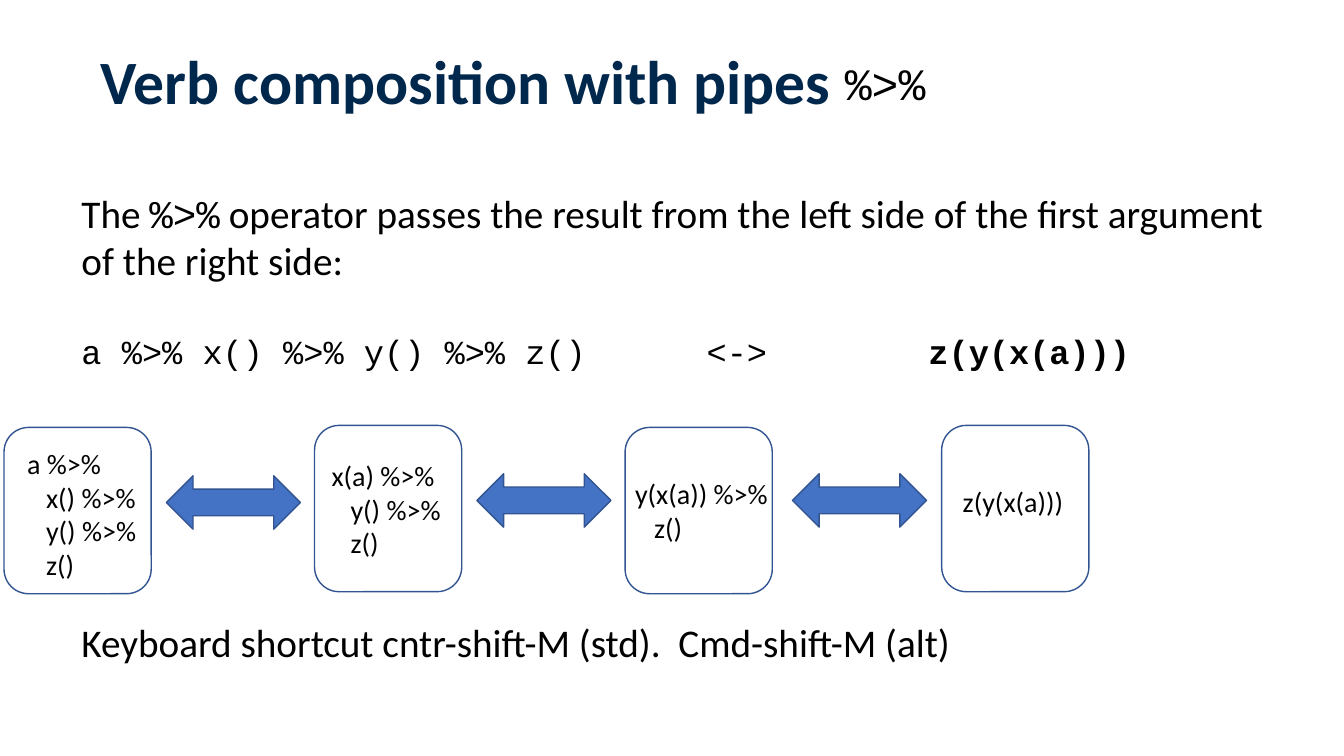
from pptx import Presentation
from pptx.dml.color import RGBColor
from pptx.enum.shapes import MSO_SHAPE as SHAPE
from pptx.enum.text import MSO_ANCHOR as ANCHOR
from pptx.oxml.ns import qn
from pptx.util import Inches, Pt
from lxml.etree import SubElement

NAVY = RGBColor(0x00, 0x27, 0x4C)
BLACK = RGBColor(0x00, 0x00, 0x00)
BLUE = RGBColor(0x44, 0x72, 0xC4)
OUTLINE = RGBColor(0x32, 0x54, 0x91)
SANS = "Calibri"
MONO = "Courier New"


class Deck:
    def __init__(self, prs):
        self.s = prs.slides.add_slide(prs.slide_layouts[6])

    def box(self, x, y, w, h, wrap=True, anchor=ANCHOR.TOP):
        tf = self.s.shapes.add_textbox(Inches(x), Inches(y), Inches(w), Inches(h)).text_frame
        tf.word_wrap = wrap
        tf.vertical_anchor = anchor
        return tf

    def run(self, p, text, size, font=SANS, color=BLACK, bold=False):
        r = p.add_run()
        r.text = text
        r.font.size = Pt(size)
        r.font.name = font
        r.font.bold = bold
        r.font.color.rgb = color

    def tabs(self, p, stops):
        tab_list = SubElement(p._p.get_or_add_pPr(), qn("a:tabLst"))
        for stop in stops:
            SubElement(tab_list, qn("a:tab"), pos=str(Inches(stop)), algn="l")

    def code(self, x, y, w, h, lines):
        tf = self.box(x, y, w, h, wrap=False)
        tf.text = "\n".join(lines)
        for p in tf.paragraphs:
            for r in p.runs:
                r.font.size = Pt(20)
                r.font.name = SANS
                r.font.color.rgb = BLACK

    def shape(self, kind, x, y, w, h, fill=None):
        sp = self.s.shapes.add_shape(kind, Inches(x), Inches(y), Inches(w), Inches(h))
        sp.shadow.inherit = False
        if fill is None:
            sp.fill.background()
        else:
            sp.fill.solid()
            sp.fill.fore_color.rgb = fill
        sp.line.color.rgb = OUTLINE
        sp.line.width = Pt(1)


def main():
    prs = Presentation()
    prs.slide_width, prs.slide_height = Inches(13.33), Inches(7.5)
    deck = Deck(prs)

    title = deck.box(0.9, 0.42, 10, 0.8, anchor=ANCHOR.BOTTOM).paragraphs[0]
    title.line_spacing = 0.9
    deck.run(title, "Verb composition with pipes", 44, color=NAVY, bold=True)
    pipe = deck.box(8.28, 0.5, 1.01, 0.64, wrap=False).paragraphs[0]
    deck.run(pipe, "%>%", 32, MONO)

    body = deck.box(0.71, 1.83, 11.92, 4.81)
    p = body.paragraphs[0]
    deck.run(p, "The ", 28)
    deck.run(p, "%>%", 28, MONO)
    deck.run(p, " operator passes the result from the left side of the first argument of the right side:", 28)

    p = body.add_paragraph()
    p.space_before = Pt(34)
    deck.tabs(p, (6.2, 8.4))
    deck.run(p, "a %>% x() %>% y() %>% z()\t<->\t", 24, MONO)
    deck.run(p, "z(y(x(a)))", 24, MONO, bold=True)

    p = body.add_paragraph()
    p.space_before = Pt(176)
    deck.run(p, "Keyboard shortcut cntr-shift-M (std).  Cmd-shift-M (alt)", 28)

    steps = (
        (0.04, 4.24, (0.17, 4.38, 1.35, 1.45), ("a %>%", "   x() %>%", "   y() %>%", "   z()")),
        (3.12, 4.22, (3.19, 4.5, 1.3, 1.11), ("x(a) %>%", "   y() %>%", "   z()")),
        (6.2, 4.24, (6.2, 4.68, 1.59, 0.77), ("y(x(a)) %>%", "   z()")),
        (9.34, 4.22, (9.45, 4.76, 1.21, 0.44), ("z(y(x(a)))",)),
    )
    for x, y, text_at, lines in steps:
        deck.code(*text_at, lines)
        deck.shape(SHAPE.ROUNDED_RECTANGLE, x, y, 1.46, 1.65)
    for x, y in ((1.65, 4.72), (4.73, 4.7), (7.86, 4.7)):
        deck.shape(SHAPE.LEFT_RIGHT_ARROW, x, y, 1.33, 0.53, BLUE)

    prs.save("out.pptx")


if __name__ == "__main__":
    main()
